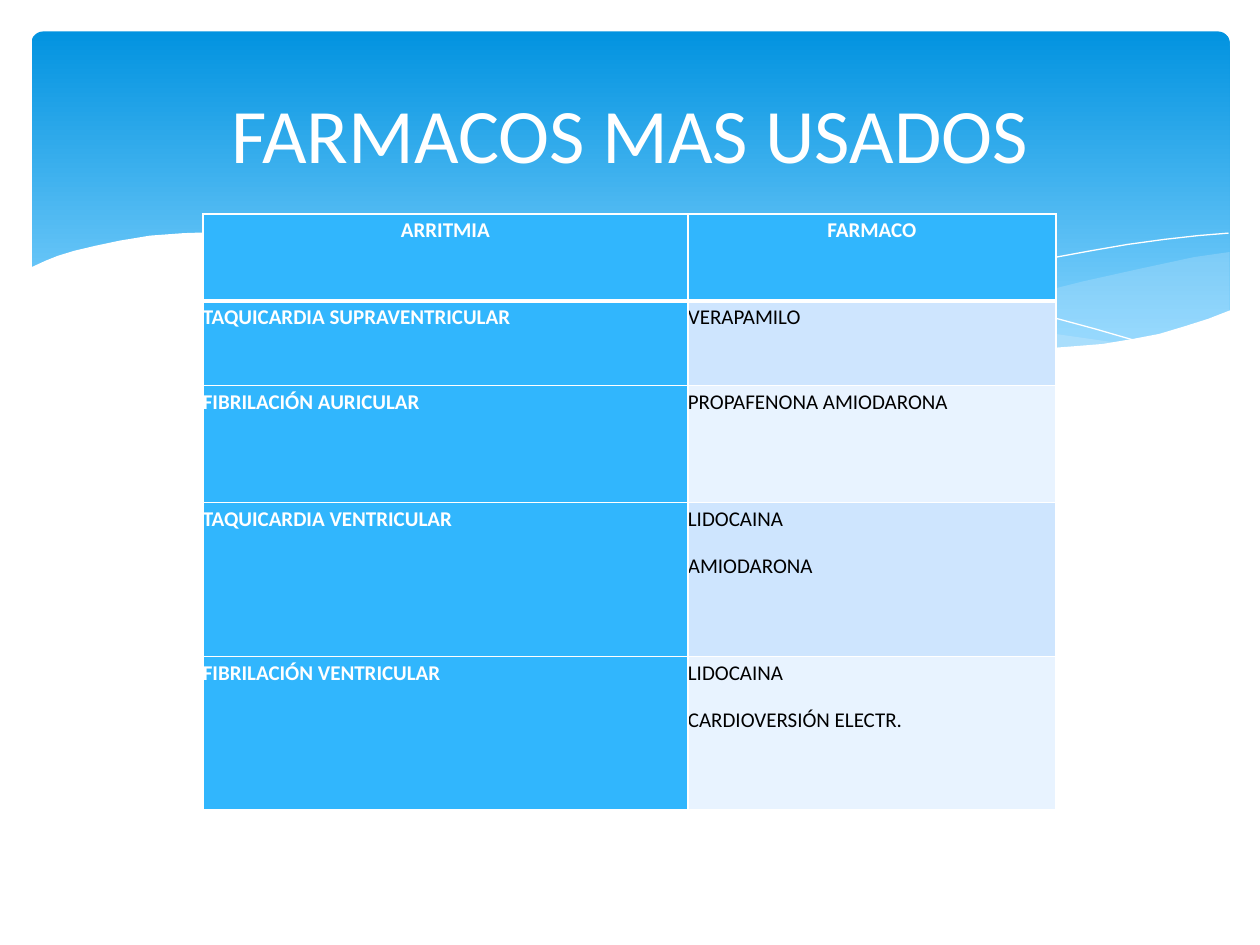
from pptx import Presentation
from pptx.dml.color import RGBColor as Rgb
from pptx.enum.shapes import MSO_SHAPE as Kind
from pptx.enum.text import MSO_ANCHOR as Anchor, PP_ALIGN as Align
from pptx.oxml.ns import qn
from pptx.util import Inches, Pt
from lxml.etree import SubElement as Sub

COLORS = {"white": "FFFFFF", "black": "000000", "deep": "0293E0",
          "light": "83D3FE", "mist": "C6E7FC", "head": "31B6FD",
          "odd": "CEE5FE", "even": "E8F3FF"}
FONT = "Calibri"

BAND = [(9.76, 2), (9.48, 2.04), (9.06, 2.13), (8.61, 2.23), (8.05, 2.37),
        (7.53, 2.48), (7.06, 2.57), (6.61, 2.65), (6.91, 2.69), (7.19, 2.72),
        (7.57, 2.76), (8.03, 2.78), (8.44, 2.77), (8.81, 2.73), (9.13, 2.67),
        (9.42, 2.59), (9.76, 2.47)]
SWELL = [(8.93, 2.73), (8.37, 2.65), (7.75, 2.54), (7.06, 2.4), (6.29, 2.22),
         (5.84, 2.11), (5.41, 2.03), (4.89, 1.94), (4.42, 1.89), (3.99, 1.86),
         (3.61, 1.85), (3.28, 1.87), (2.86, 1.91), (3.23, 1.96), (3.62, 2.03),
         (4.04, 2.11), (4.49, 2.22), (5.3, 2.4), (5.84, 2.52), (6.34, 2.61),
         (6.8, 2.68), (7.22, 2.74), (7.61, 2.77), (7.96, 2.78), (8.28, 2.78),
         (8.57, 2.77)]
FALL = [(3.09, 1.95), (3.28, 1.92), (3.53, 1.89), (3.87, 1.87), (4.33, 1.87),
        (4.69, 1.89), (5.1, 1.92), (5.56, 1.97), (6.08, 2.04), (6.65, 2.13),
        (7.27, 2.26), (7.95, 2.41), (8.69, 2.61), (9.07, 2.72)]
RISE = [(6.13, 2.57), (6.53, 2.46), (6.95, 2.35), (7.48, 2.23), (8.06, 2.1),
        (8.66, 1.99), (8.95, 1.94), (9.24, 1.9), (9.51, 1.87), (9.75, 1.85)]
COVER = [(9.77, 2.46), (9.59, 2.53), (9.4, 2.59), (9.2, 2.65), (8.99, 2.69),
         (8.75, 2.73), (8.5, 2.75), (8.23, 2.77), (7.93, 2.76), (7.61, 2.75),
         (7.26, 2.72), (6.88, 2.68), (6.48, 2.62), (6.03, 2.54), (5.55, 2.45),
         (5.03, 2.33), (4.47, 2.2), (3.91, 2.07), (3.4, 1.97), (2.92, 1.9),
         (2.5, 1.86), (2.11, 1.84), (1.77, 1.84), (1.46, 1.85), (1.19, 1.87),
         (0.95, 1.91), (0.76, 1.95), (0.59, 1.99), (0.46, 2.03), (0.36, 2.07),
         (0.23, 2.13), (0.23, 3.29), (9.77, 3.29)]

ROWS = [(0.69, "ARRITMIA", ["FARMACO"]),
        (0.67, "TAQUICARDIA SUPRAVENTRICULAR", ["VERAPAMILO"]),
        (0.93, "FIBRILACIÓN AURICULAR", ["PROPAFENONA AMIODARONA"]),
        (1.22, "TAQUICARDIA VENTRICULAR", ["LIDOCAINA", "AMIODARONA"]),
        (1.22, "FIBRILACIÓN VENTRICULAR",
         ["LIDOCAINA", "CARDIOVERSIÓN ELECTR."])]


def hue(name):
    """Return the named colour."""
    return Rgb.from_string(COLORS[name])


def write(para, text, size, color, bold=False):
    """Add one run to a paragraph."""
    run = para.add_run()
    run.text = text
    run.font.name, run.font.size, run.font.bold = FONT, Pt(size), bold
    run.font.color.rgb = hue(color)


def curve(slide, box, points, fill=None, alpha=100):
    """Draw a filled wave, or a hairline if no fill is given."""
    spots = [(Inches(x), Inches(y)) for x, y in points]
    pen = slide.shapes.build_freeform(*spots[0])
    pen.add_line_segments(spots[1:], close=fill is not None)
    wave = pen.convert_to_shape(Inches(box[0]), Inches(box[1]))
    wave.shadow.inherit = False
    if fill is None:
        wave.fill.background()
        wave.line.color.rgb = hue("white")
        wave.line.width = Pt(0)
        return
    wave.line.fill.background()
    wave.fill.solid()
    wave.fill.fore_color.rgb = hue(fill)
    if alpha < 100:
        tint = wave.fill._xPr.find(".//" + qn("a:srgbClr"))
        Sub(tint, qn("a:alpha"), val=str(alpha * 1000))


def banner(slide, box):
    """Draw the gradient panel and its waves in the box."""
    left, top, width, _ = box
    panel = slide.shapes.add_shape(
        Kind.ROUNDED_RECTANGLE, Inches(left + 0.25), Inches(top + 0.25),
        Inches(width - 0.49), Inches(2.7))
    panel.adjustments[0] = 0.034
    panel.shadow.inherit = False
    panel.line.fill.background()
    panel.fill.gradient()
    panel.fill.gradient_angle = 270
    stops = panel.fill.gradient_stops
    for stop, spot, name in zip(stops, (0, 0.9), ("deep", "light")):
        stop.position = spot
        stop.color.rgb = hue(name)
    curve(slide, box, BAND, "mist", 29)
    curve(slide, box, SWELL, "mist", 40)
    curve(slide, box, FALL)
    curve(slide, box, RISE)
    curve(slide, box, COVER, "white")


def title(slide, box, text):
    """Place the centred heading in the box."""
    frame = slide.shapes.add_textbox(*map(Inches, box)).text_frame
    frame.word_wrap = True
    frame.vertical_anchor = Anchor.MIDDLE
    para = frame.paragraphs[0]
    para.alignment = Align.CENTER
    write(para, text, 44, "white")


def edge(cell, row):
    """Give a cell white borders, thick below the header."""
    props = cell._tc.get_or_add_tcPr()
    thick = {(0, "B"), (1, "T")}
    for side in "LRTB":
        width = Pt(3 if (row, side) in thick else 1)
        line = Sub(props, qn("a:ln" + side), w=str(width))
        paint = Sub(line, qn("a:solidFill"))
        Sub(paint, qn("a:srgbClr"), val=COLORS["white"])


def grid(slide, box, widths, rows):
    """Place the table of arrhythmias and drugs in the box."""
    table = slide.shapes.add_table(
        len(rows), len(widths), *map(Inches, box)).table
    table.first_row = table.horz_banding = False
    for col, width in zip(table.columns, widths):
        col.width = Inches(width)
    for r, (height, name, drugs) in enumerate(rows):
        table.rows[r].height = Inches(height)
        for c, lines in enumerate(([name], drugs)):
            cell = table.cell(r, c)
            strong = r == 0 or c == 0
            cell.margin_left = cell.margin_right = 0
            cell.margin_top = cell.margin_bottom = 0
            edge(cell, r)
            cell.fill.solid()
            cell.fill.fore_color.rgb = hue(
                "head" if strong else "odd" if r % 2 else "even")
            frame = cell.text_frame
            for i, line in enumerate(lines):
                para = frame.add_paragraph() if i else frame.paragraphs[0]
                para.alignment = Align.JUSTIFY if r else Align.CENTER
                para.line_spacing = 1.15
                para.space_after = Pt(10)
                write(para, line, 12, "white" if strong else "black", strong)


def main():
    """Build and save the slide."""
    deck = Presentation()
    deck.slide_width, deck.slide_height = Inches(10), Inches(7.5)
    slide = deck.slides.add_slide(deck.slide_layouts[6])
    banner(slide, (0, 0, 10, 7.5))
    grid(slide, (1.61, 1.7, 6.77, 4.73), (3.85, 2.92), ROWS)
    title(slide, (0.5, 0.37, 9, 1.37), "FARMACOS MAS USADOS")
    deck.save("out.pptx")


main()
